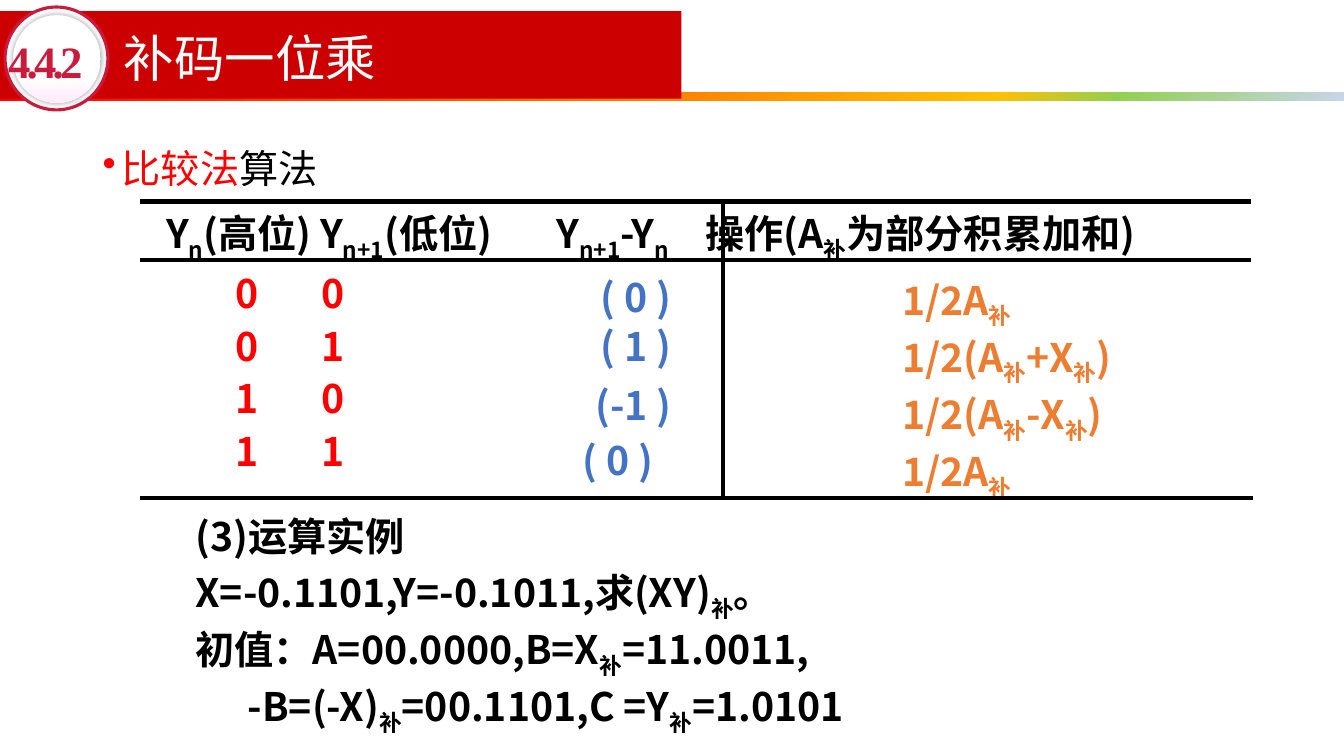
"""Build the slide on one-bit complement multiplication by comparison."""
from dataclasses import dataclass

from lxml import etree
from pptx import Presentation
from pptx.dml.color import RGBColor
from pptx.enum.shapes import MSO_CONNECTOR, MSO_SHAPE
from pptx.enum.text import MSO_ANCHOR, PP_ALIGN
from pptx.oxml.ns import qn
from pptx.util import Inches, Pt

RECT, OVAL = MSO_SHAPE.RECTANGLE, MSO_SHAPE.OVAL
LINE = MSO_CONNECTOR.STRAIGHT
TOP, MID = MSO_ANCHOR.TOP, MSO_ANCHOR.MIDDLE
LEFT, MIDST, JUST = PP_ALIGN.LEFT, PP_ALIGN.CENTER, PP_ALIGN.JUSTIFY

BLACK = RGBColor(0x00, 0x00, 0x00)
WHITE = RGBColor(0xFF, 0xFF, 0xFF)
RED = RGBColor(0xFF, 0x00, 0x00)
BRICK = RGBColor(0xCC, 0x00, 0x00)
ROSE = RGBColor(0xCB, 0x1B, 0x3D)
PINK = RGBColor(0xFF, 0xEB, 0xFA)
BLUE = RGBColor(0x44, 0x72, 0xC4)
RUST = RGBColor(0xED, 0x7D, 0x31)
GOLD = RGBColor(0xFF, 0xC0, 0x00)
GREEN = RGBColor(0x92, 0xD0, 0x50)
PALE = RGBColor(0xC7, 0xD5, 0xED)

SANS, SERIF = "Noto Sans CJK SC", "Times New Roman"
MARK = "_"


@dataclass
class Box:
    """Place and size in inches."""
    x: float
    y: float
    w: float
    h: float


@dataclass
class Look:
    """Style of a run."""
    color: RGBColor
    size: int = 28
    bold: bool = True
    font: str = SANS


@dataclass
class Note:
    """Text block; pairs of marks enclose a subscript."""
    box: Box
    lines: list[str]
    look: Look
    space: float | None = 0.7
    lead: bool = True
    align: PP_ALIGN = LEFT
    anchor: MSO_ANCHOR = TOP
    tabs: tuple[float, ...] = ()


@dataclass
class Rule:
    """Straight line between two points."""
    x1: float
    y1: float
    x2: float
    y2: float


def style(run, look: Look) -> None:
    """Apply a look to a run."""
    font = run.font
    font.name, font.size, font.bold = look.font, Pt(look.size), look.bold
    font.color.rgb = look.color
    props = run._r.get_or_add_rPr()
    etree.SubElement(props, qn("a:ea")).set("typeface", look.font)


def indent(para, left: float, first: float = 0) -> None:
    """Set the left margin and first-line offset of a paragraph."""
    props = para._p.get_or_add_pPr()
    props.set("marL", str(Inches(left)))
    props.set("indent", str(Inches(first)))


def write(slide, note: Note):
    """Draw a text block and return its frame."""
    box = note.box
    frame = slide.shapes.add_textbox(
        Inches(box.x), Inches(box.y), Inches(box.w), Inches(box.h)).text_frame
    frame.word_wrap = True
    frame.vertical_anchor = note.anchor
    for i, line in enumerate(note.lines):
        para = frame.add_paragraph() if i else frame.paragraphs[0]
        para.alignment = note.align
        para.line_spacing = note.space
        props = para._p.get_or_add_pPr()
        if note.lead:
            para.space_before = Pt(14)
            gap = props.find(qn("a:spcBef"))
            gap.clear()
            etree.SubElement(gap, qn("a:spcPct")).set("val", "50000")
        if note.tabs:
            stops = etree.SubElement(props, qn("a:tabLst"))
            for pos in note.tabs:
                etree.SubElement(stops, qn("a:tab"), pos=str(Inches(pos)), algn="l")
        for j, part in enumerate(line.split(MARK)):
            if part:
                run = para.add_run()
                run.text = part
                style(run, note.look)
                if j % 2:
                    run._r.get_or_add_rPr().set("baseline", "-25000")
    return frame


def shape(slide, kind: MSO_SHAPE, box: Box):
    """Add a plain shape with neither line nor shadow."""
    item = slide.shapes.add_shape(
        kind, Inches(box.x), Inches(box.y), Inches(box.w), Inches(box.h))
    item.shadow.inherit = False
    item.line.fill.background()
    return item


def tint(color: RGBColor, node) -> etree._Element:
    """Add a colour under an XML node."""
    return etree.SubElement(node, qn("a:srgbClr"), val=str(color))


def blend(item, stops: list[tuple[int, RGBColor]], angle: int) -> None:
    """Fill a shape with a linear gradient."""
    item.fill.gradient()
    item.fill.gradient_angle = angle
    group = item._element.spPr.find(qn("a:gradFill")).find(qn("a:gsLst"))
    group.clear()
    for pos, color in stops:
        tint(color, etree.SubElement(group, qn("a:gs"), pos=str(pos * 1000)))


def banner(slide) -> None:
    """Draw the heading band and its round badge."""
    strip = shape(slide, RECT, Box(0, 0.92, 13.33, 0.08))
    blend(strip, [(0, RED), (74, GOLD), (83, GREEN), (100, PALE)], 315)
    band = shape(slide, RECT, Box(0, 0.11, 6.76, 0.87))
    band.fill.solid()
    band.fill.fore_color.rgb = BRICK
    ring = shape(slide, OVAL, Box(0.05, 0.07, 1.02, 1.02))
    ring.fill.solid()
    ring.fill.fore_color.rgb = WHITE
    ring.line.color.rgb = ROSE
    ring.line.width = Pt(2.25)
    disc = shape(slide, OVAL, Box(0.13, 0.15, 0.87, 0.87))
    blend(disc, [(0, WHITE), (70, WHITE), (100, PINK)], 270)
    glow = etree.SubElement(disc._element.spPr.find(qn("a:effectLst")),
                            qn("a:outerShdw"), blurRad=str(Pt(5)))
    etree.SubElement(tint(BLACK, glow), qn("a:alpha"), val="40000")
    write(slide, Note(Box(1.13, 0.2, 7.44, 0.82), ["补码一位乘"],
                      Look(WHITE, 36, False), 0.9, False, anchor=MID))
    badge = write(slide, Note(Box(0.08, 0.33, 0.93, 0.54), ["4.4.2"],
                              Look(ROSE, 32, True, SERIF), None, False, anchor=MID))
    badge.margin_left = badge.margin_right = 0
    badge.margin_top = badge.margin_bottom = 0
    badge.paragraphs[0].runs[0]._r.get_or_add_rPr().set("spc", "-270")


def topic(slide) -> None:
    """Write the bulleted topic in two colours."""
    frame = write(slide, Note(Box(0.92, 1.15, 11.5, 5.44), ["比较法"],
                              Look(RED, bold=False), 1.5, False, JUST))
    para = frame.paragraphs[0]
    indent(para, 0.19, -0.19)
    etree.SubElement(para._p.get_or_add_pPr(), qn("a:buChar")).set("char", "•")
    run = para.add_run()
    run.text = "算法"
    style(run, Look(BLACK, bold=False))


def rule(slide, row: Rule) -> None:
    """Draw one black table line."""
    line = slide.shapes.add_connector(
        LINE, Inches(row.x1), Inches(row.y1), Inches(row.x2), Inches(row.y2))
    line.line.color.rgb = BLACK
    line.line.width = Pt(3)
    etree.SubElement(line._element.spPr, qn("a:effectLst"))


def main() -> None:
    """Build and save the slide."""
    deck = Presentation()
    deck.slide_width, deck.slide_height = Inches(13.33), Inches(7.5)
    slide = deck.slides.add_slide(deck.slide_layouts[6])
    banner(slide)
    topic(slide)
    write(slide, Note(
        Box(1.55, 2.12, 10.83, 0.43),
        ["Y_n_(高位) Y_n+1_(低位)\tY_n+1_-Y_n_\t操作(A_补_为部分积累加和)"],
        Look(BLACK), tabs=(3.87, 5.35)))
    write(slide, Note(Box(2.24, 2.75, 2.83, 2.13),
                      [f"{a}\t{b}" for a in (0, 1) for b in (0, 1)],
                      Look(RED), tabs=(0.85,)))
    write(slide, Note(Box(8.76, 2.78, 2.75, 2.13),
                      [" 1/2A_补_", " 1/2(A_补_+X_补_)", " 1/2(A_补_-X_补_)", " 1/2A_补_"],
                      Look(RUST)))
    for row in (Rule(1.39, 2, 12.41, 2), Rule(1.39, 2.58, 12.41, 2.58),
                Rule(1.39, 4.94, 12.43, 4.94), Rule(7.17, 2, 7.17, 4.94)):
        rule(slide, row)
    for x, y, text, align in ((5.68, 2.66, "( 0 )", MIDST), (5.68, 3.15, "( 1 )", MIDST),
                              (5.66, 3.73, "(-1 )", MIDST), (5.68, 4.28, "( 0 )", LEFT)):
        write(slide, Note(Box(x, y, 1.25, 0.57), [text], Look(BLUE), None, align=align))
    demo = write(slide, Note(
        Box(1.84, 5.16, 10, 2.13),
        ["(3)运算实例", "X=-0.1101,Y=-0.1011,求(XY)_补_。",
         "初值：A=00.0000,B=X_补_=11.0011,", "-B=(-X)_补_=00.1101,C =Y_补_=1.0101"],
        Look(BLACK)))
    indent(demo.paragraphs[-1], 0.52)
    deck.save("out.pptx")


if __name__ == "__main__":
    main()
